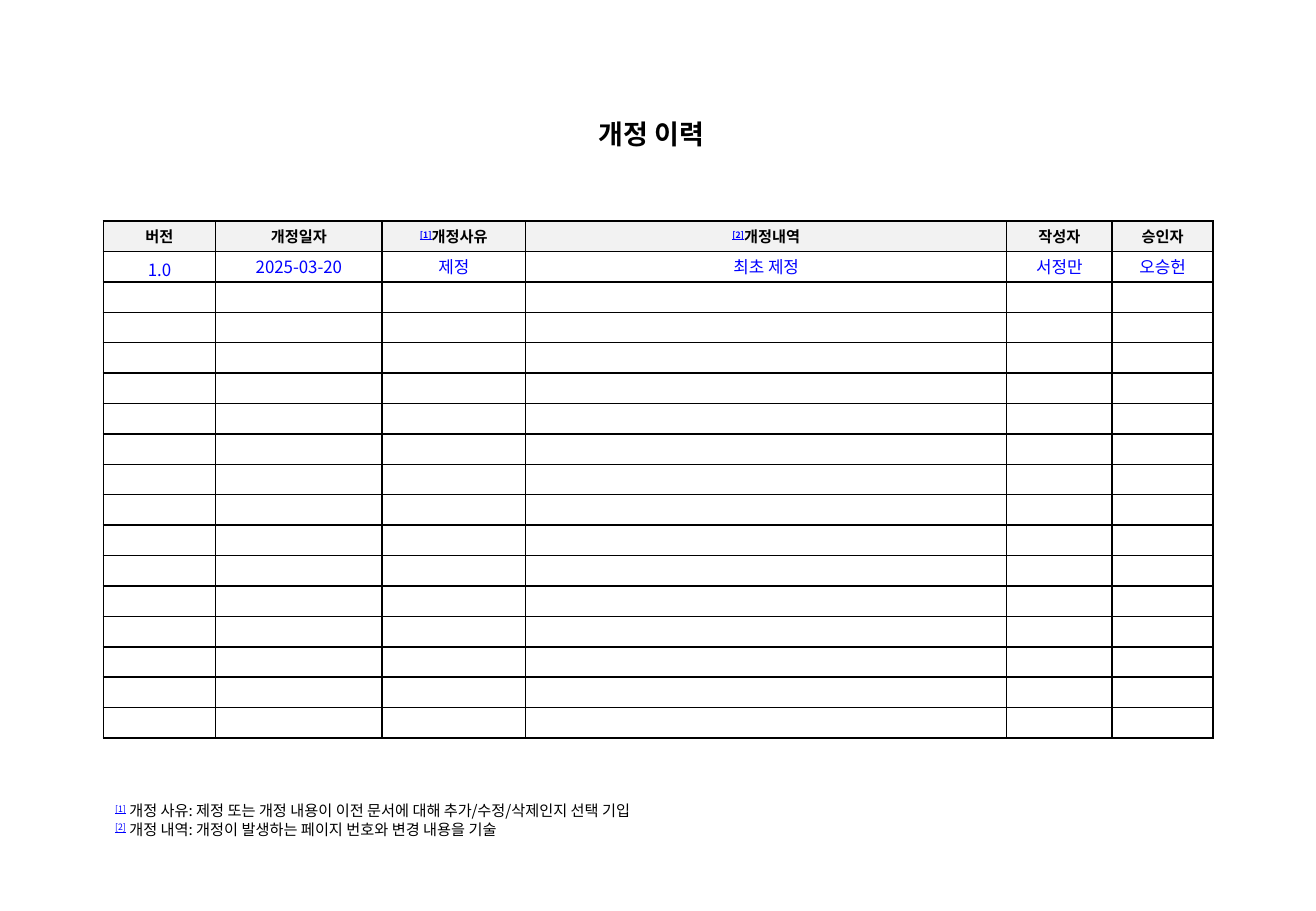
from pptx import Presentation
from pptx.dml.color import RGBColor
from pptx.enum.text import MSO_ANCHOR as Anchor, MSO_AUTO_SIZE as Auto, PP_ALIGN as Align
from pptx.oxml.ns import qn
from pptx.util import Pt
from lxml.etree import SubElement as Sub

BLACK = RGBColor(0, 0, 0)
BLUE = RGBColor(0, 0, 255)
GRAY = RGBColor(0xF2, 0xF2, 0xF2)
FONT = "Noto Sans CJK KR"


def write(para, text, size, color=BLACK, bold=False, mark=False):
    run = para.add_run()
    run.text = text
    font = run.font
    font.name, font.size, font.bold = FONT, Pt(size), bold
    font.color.rgb = color
    props = run._r.get_or_add_rPr()
    Sub(props, qn("a:ea"), typeface=FONT)
    if mark:
        font.underline = True
        props.set("baseline", "30000")


def add_box(x, y, w, h):
    frame = slide.shapes.add_textbox(Pt(x), Pt(y), Pt(w), Pt(h)).text_frame
    frame.word_wrap = False
    frame.auto_size = Auto.SHAPE_TO_FIT_TEXT
    frame.vertical_anchor = Anchor.MIDDLE
    return frame


prs = Presentation()
prs.slide_width, prs.slide_height = Pt(780), Pt(540)
slide = prs.slides.add_slide(prs.slide_layouts[6])

# Title
title = add_box(347.8, 66.2, 84.2, 26.6)
write(title.paragraphs[0], "개정 이력", 16, bold=True)

# Footnotes
notes = [
    ("[1]", " 개정 사유: 제정 또는 개정 내용이 이전 문서에 대해 추가/수정/삭제인지 선택 기입"),
    ("[2]", " 개정 내역: 개정이 발생하는 페이지 번호와 변경 내용을 기술"),
]
frame = add_box(61.2, 471.6, 359.3, 28.8)
for i, (mark, note) in enumerate(notes):
    para = frame.add_paragraph() if i else frame.paragraphs[0]
    write(para, mark, 9, BLUE, mark=True)
    write(para, note, 9)

# Revision table
heads = [("", "버전"), ("", "개정일자"), ("[1]", "개정사유"),
         ("[2]", "개정내역"), ("", "작성자"), ("", "승인자")]
first = ["1.0", "2025-03-20", "제정", "최초 제정", "서정만", "오승헌"]
widths = [66.6, 98.7, 85, 285.3, 62.4, 59.9]
ROWS, HIGH = 17, 18.05

table = slide.shapes.add_table(ROWS, len(widths), Pt(61.2), Pt(131),
                               Pt(sum(widths)), Pt(ROWS * HIGH)).table
for col, width in zip(table.columns, widths):
    col.width = Pt(width)

for r, row in enumerate(table.rows):
    row.height = Pt(HIGH)
    for c, cell in enumerate(row.cells):
        pad = 2.5 if r == 0 else 0
        cell.margin_left = cell.margin_right = Pt(pad)
        cell.margin_top = cell.margin_bottom = Pt(pad)
        cell.vertical_anchor = Anchor.MIDDLE
        para = cell.text_frame.paragraphs[0]
        para.alignment = Align.CENTER

        # Thin black borders, placed ahead of the fill
        props = cell._tc.get_or_add_tcPr()
        for side in ("lnL", "lnR", "lnT", "lnB"):
            line = Sub(props, qn(f"a:{side}"), w=str(Pt(1)))
            Sub(Sub(line, qn("a:solidFill")), qn("a:srgbClr"), val=str(BLACK))

        if r == 0:
            cell.fill.solid()
            cell.fill.fore_color.rgb = GRAY
            mark, head = heads[c]
            if mark:
                write(para, mark, 9, BLUE, bold=True, mark=True)
            write(para, head, 9, bold=True)
        else:
            cell.fill.background()
            if r == 1:
                write(para, first[c], 10, BLUE)
            else:
                # Small type keeps blank rows at their height
                Sub(para._p, qn("a:endParaRPr"), sz="900")

# The version number sits slightly lower than its row
table.cell(1, 0).margin_top = Pt(2.6)

prs.save("out.pptx")
